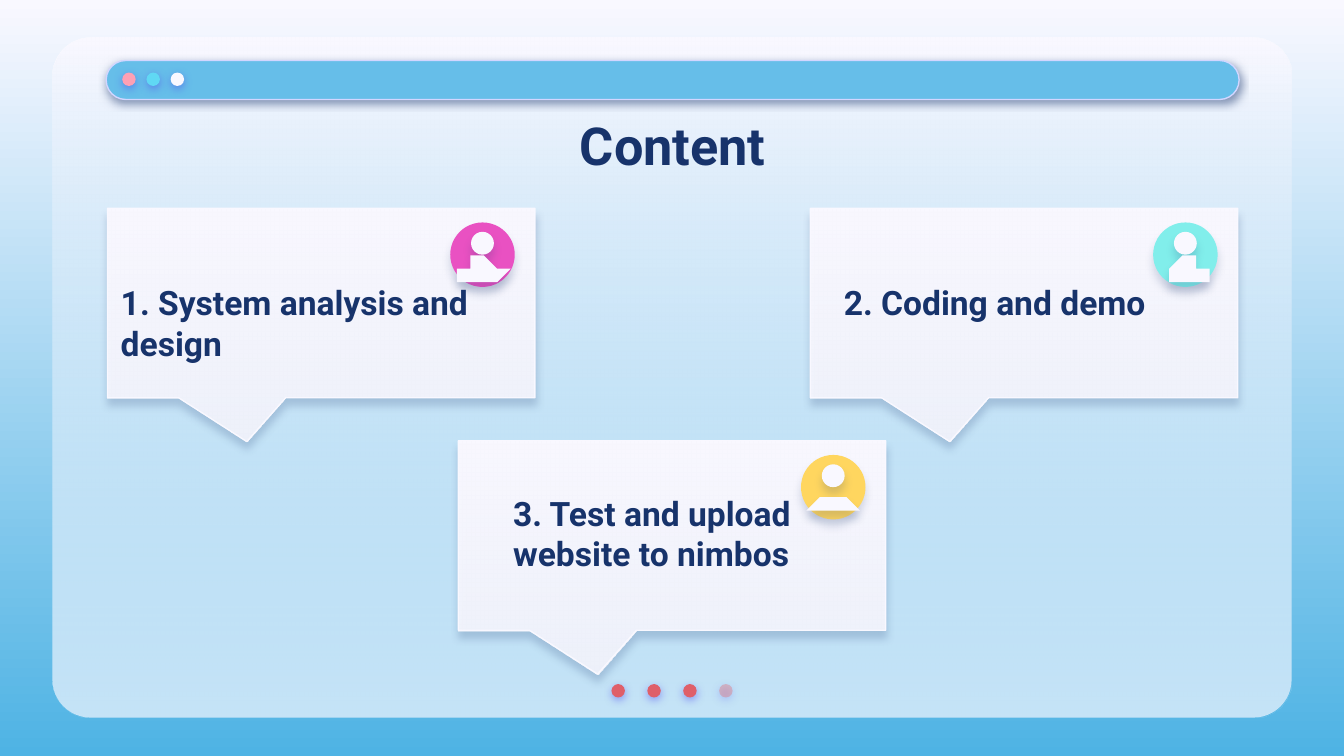
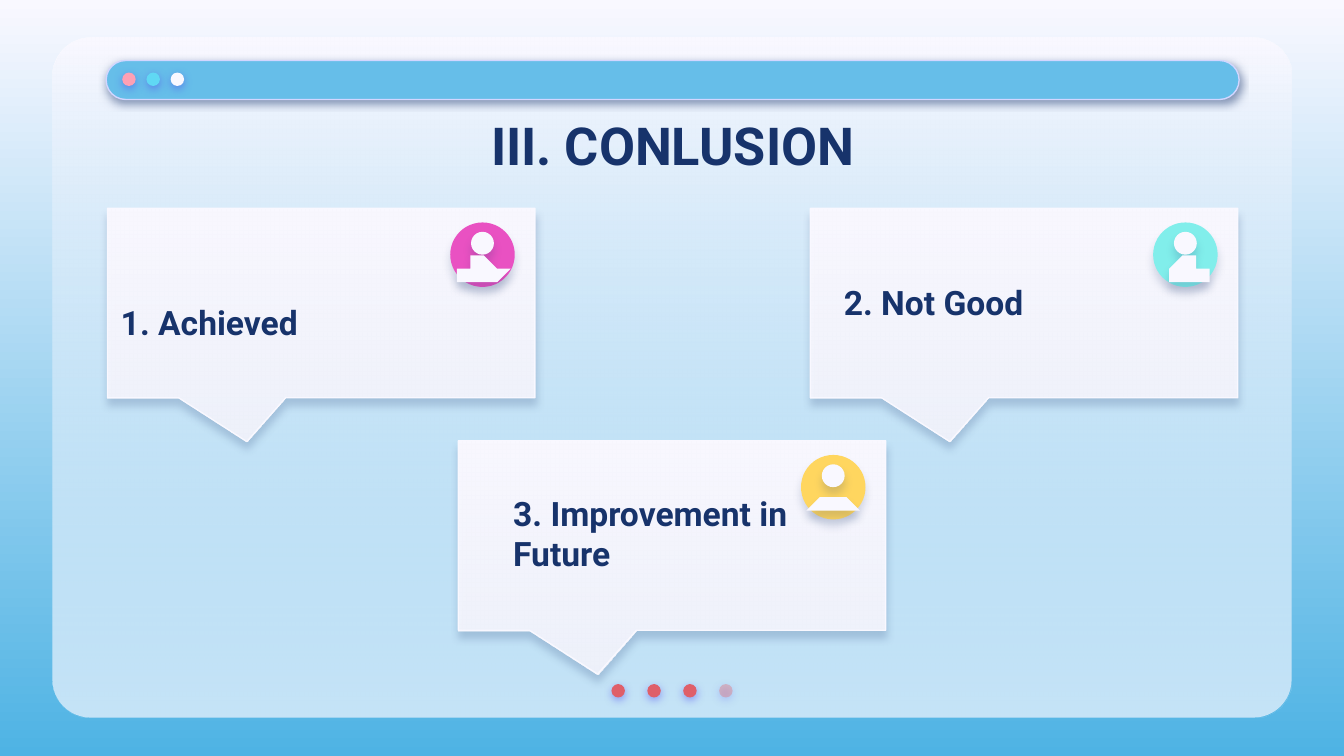
from math import asin, cos, pi, sin

from lxml.etree import SubElement
from pptx import Presentation
from pptx.dml.color import RGBColor
from pptx.enum.shapes import MSO_SHAPE as SHAPE
from pptx.enum.text import MSO_ANCHOR as ANCHOR, MSO_AUTO_SIZE as AUTO, PP_ALIGN as ALIGN
from pptx.oxml.ns import qn
from pptx.util import Inches, Pt

# Grid: 100 columns by 56.25 rows
CELL = Inches(0.1)
COLS, ROWS = 100, 56.25

# Colours
NAVY = RGBColor(0x17, 0x33, 0x6B)
PALE = RGBColor(0xF9, 0xF8, 0xFF)
SKY = RGBColor(0x4E, 0xB3, 0xE4)
BAR_BLUE = RGBColor(0x66, 0xBE, 0xE9)
BAR_EDGE = RGBColor(0xD2, 0xD6, 0xFF)
GLOW = RGBColor(0x53, 0x52, 0xEE)
RED = RGBColor(0xDF, 0x5F, 0x69)
FADED_RED = RGBColor(0xE2, 0x7B, 0x83)
ROSE = RGBColor(0xFD, 0xA0, 0xB4)
CYAN = RGBColor(0x60, 0xD8, 0xF4)
MAGENTA = RGBColor(0xE9, 0x51, 0xC2)
AQUA = RGBColor(0x81, 0xEE, 0xEB)
YELLOW = RGBColor(0xFF, 0xD6, 0x5F)

# Shadows: colour, opacity in percent, distance in points
DOT_SHADOW = (GLOW, 50, 1.5)
BAR_SHADOW = (NAVY, 50, 1.5)
CARD_SHADOW = (NAVY, 22, 3.8)
AVATAR_SHADOW = (NAVY, 16, 3.8)

TITLE_FONT = {"name": "Roboto", "size": Pt(28), "bold": True}
LABEL_FONT = {**TITLE_FONT, "size": Pt(18)}

# Cards: left and top, label box, avatar colour
CARDS = [
    ((8, 15.5), (8, 18.8, 29.2, 10.4), MAGENTA),
    ((60.3, 15.5), (61.8, 20.5, 25.6, 4), AQUA),
    ((34.1, 32.8), (37.2, 34.2, 25.6, 10.9), YELLOW),
]
SLIDES = [
    ("Content", ["1. System analysis and design", "2. Coding and demo",
                 "3. Test and upload website to nimbos"]),
    ("III. CONLUSION", ["1. Achieved", "2. Not Good", "3. Improvement in Future"]),
]


def cells(*values):
    return [round(v * CELL) for v in values]


def gradient(fill, top, bottom):
    fill.gradient()
    fill.gradient_angle = 270
    for stop, color in zip(fill.gradient_stops, (top, bottom)):
        stop.color.rgb = color


def set_alpha(color, percent):
    SubElement(color, qn("a:alpha"), val=str(percent * 1000))


def add_shadow(s, color, opacity, distance):
    s.shadow.inherit = False
    effects = s.element.spPr.find(qn("a:effectLst"))
    outer = SubElement(effects, qn("a:outerShdw"), blurRad=str(Pt(4.5)),
                       dist=str(Pt(distance)), dir="5400000",
                       algn="bl", rotWithShape="0")
    set_alpha(SubElement(outer, qn("a:srgbClr"), val=str(color)), opacity)


def style(s, fill, bottom=None, alpha=None, edge=None, shadow=None):
    """Fill a shape plainly, or down to a bottom colour; alpha is for the last colour."""
    s.shadow.inherit = False
    if bottom is not None:
        gradient(s.fill, fill, bottom)
    else:
        s.fill.solid()
        s.fill.fore_color.rgb = fill
    if alpha is not None:
        set_alpha(list(s.element.spPr.iter(qn("a:srgbClr")))[-1], alpha)
    if edge is not None:
        s.line.color.rgb = edge
        s.line.width = Pt(0.75)
    else:
        s.line.fill.background()
    if shadow:
        add_shadow(s, *shadow)
    return s


def add_preset(shapes, kind, box, adjustments=(), **look):
    s = shapes.add_shape(kind, *cells(*box))
    for i, value in enumerate(adjustments):
        s.adjustments[i] = value
    return style(s, **look)


def add_dots(shapes, left, top, pitch, colors, faded=None):
    for i, color in enumerate(colors):
        add_preset(shapes, SHAPE.OVAL, (left + i * pitch, top, 1, 1), fill=color,
                   alpha=44 if i == faded else None, shadow=DOT_SHADOW)


def add_frame(layout, slide):
    """Draw the window once and hand it over to the layout."""
    gradient(layout.background.fill, PALE, SKY)
    group = slide.shapes.add_group_shape()
    shapes = group.shapes
    panel = (3.9, 2.8, 92.2, 50.6)
    add_preset(shapes, SHAPE.ROUNDED_RECTANGLE, panel, [0.056], fill=PALE)
    add_preset(shapes, SHAPE.ROUNDED_RECTANGLE, panel, [0.056],
               fill=PALE, bottom=BAR_BLUE, alpha=35)
    add_dots(shapes, 45.5, 50.9, 2.67, [RED, RED, RED, FADED_RED], faded=3)
    add_preset(shapes, SHAPE.ROUNDED_RECTANGLE, (7.9, 4.5, 84.3, 2.9), [0.5],
               fill=BAR_BLUE, edge=BAR_EDGE, shadow=BAR_SHADOW)
    add_dots(shapes, 9.1, 5.4, 1.8, [ROSE, CYAN, PALE])
    layout.shapes.element.append(group.element)
    for i, props in enumerate(group.element.iter(qn("p:cNvPr")), 100):
        props.set("id", str(i))


def write(s, text, font, align):
    tf = s.text_frame
    tf.word_wrap = True
    tf.auto_size = AUTO.NONE
    tf.vertical_anchor = ANCHOR.MIDDLE
    for side in ("left", "top", "right", "bottom"):
        setattr(tf, f"margin_{side}", CELL)
    p = tf.paragraphs[0]
    p.alignment = align
    r = p.add_run()
    r.text = text
    for key, value in font.items():
        setattr(r.font, key, value)
    r.font.color.rgb = NAVY


def set_title(slide, text):
    s = slide.shapes.title
    s.left, s.top, s.width, s.height = cells(7.9, 7.6, 84.3, 6.3)
    write(s, text, TITLE_FONT, ALIGN.CENTER)


def arc(cx, cy, radius, half_chord, middle, steps=16):
    """Points clockwise along an arc centred on the angle named middle."""
    half = asin(half_chord / radius)
    angles = [middle - half + 2 * half * i / steps for i in range(steps + 1)]
    return [(cx + radius * cos(a), cy + radius * sin(a)) for a in angles]


def add_avatar(slide, left, top, color):
    shapes = slide.shapes.add_group_shape().shapes
    add_preset(shapes, SHAPE.OVAL, (left, top, 4.8, 4.8), fill=color,
               shadow=AVATAR_SHADOW)
    add_preset(shapes, SHAPE.OVAL, (left + 1.55, top + 0.7, 1.7, 1.7), fill=PALE,
               shadow=AVATAR_SHADOW)
    # Shoulders: a steep arc above a flatter one
    cx = left + 2.4
    points = (arc(cx, top + 4.59, 1.79, 1.65, -pi / 2)
              + arc(cx, top + 2.3, 2.3, 1.65, pi / 2))
    outline = shapes.build_freeform(*points[0], scale=CELL)
    outline.add_line_segments(points[1:], close=True)
    style(outline.convert_to_shape(), PALE, shadow=AVATAR_SHADOW)


def add_card(slide, corner):
    add_preset(slide.shapes, SHAPE.ROUNDED_RECTANGULAR_CALLOUT, (*corner, 31.8, 14.1),
               [-0.174, 0.731, 0], fill=PALE, bottom=PALE, alpha=87,
               edge=PALE, shadow=CARD_SHADOW)


def main():
    prs = Presentation()
    prs.slide_width, prs.slide_height = cells(COLS, ROWS)
    layout = prs.slide_layouts.get_by_name("Title Only")
    for number, (title, labels) in enumerate(SLIDES):
        slide = prs.slides.add_slide(layout)
        if number == 0:
            add_frame(layout, slide)
        set_title(slide, title)
        # Cards below, then avatars and labels
        for corner, _, _ in CARDS:
            add_card(slide, corner)
        for ((left, top), box, color), label in zip(CARDS, labels):
            add_avatar(slide, left + 25.5, top + 1.05, color)
            write(slide.shapes.add_textbox(*cells(*box)), label, LABEL_FONT, ALIGN.LEFT)
    prs.save("out.pptx")


if __name__ == "__main__":
    main()
